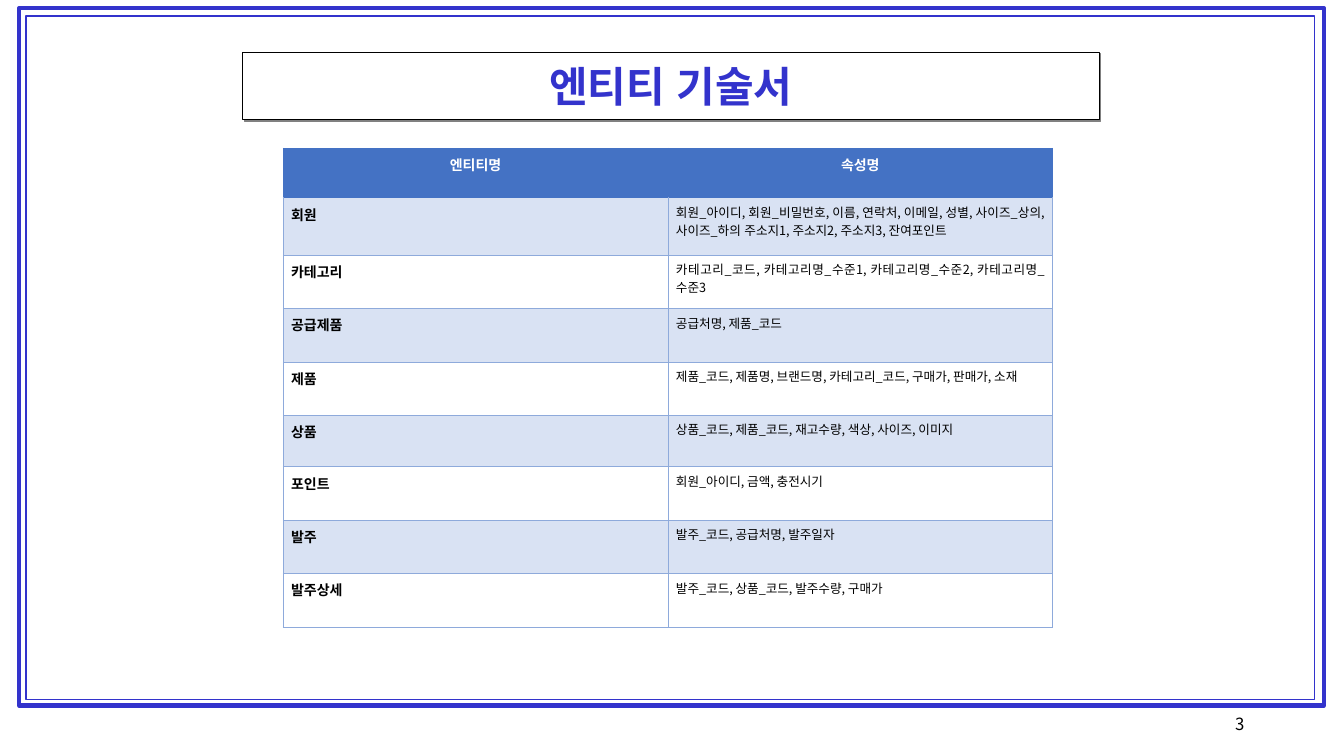
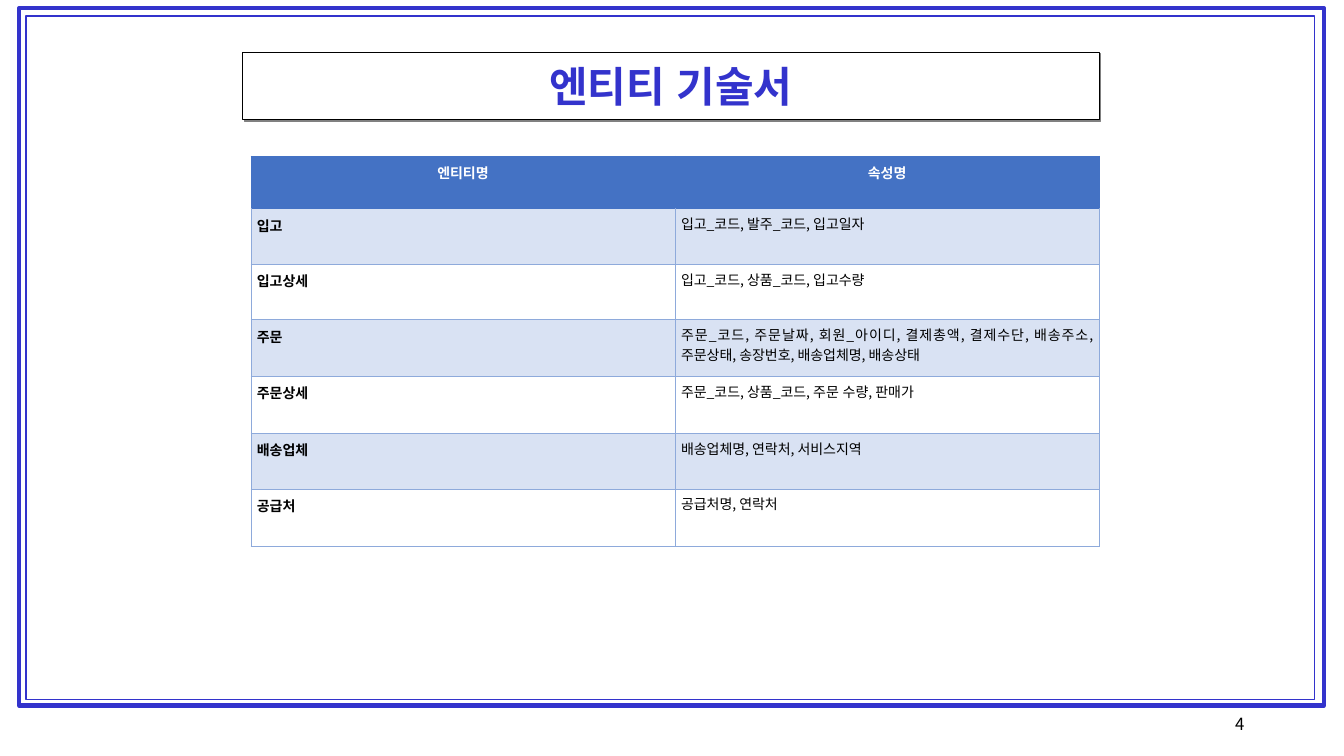
from dataclasses import dataclass

from lxml import etree
from pptx import Presentation
from pptx import util as u
from pptx.dml.color import RGBColor
from pptx.enum import shapes, text
from pptx.enum.lang import MSO_LANGUAGE_ID
from pptx.oxml.ns import qn

PX = 9144  # EMU in one px, 100 px to the inch


@dataclass(frozen=True)
class Theme:
    font: str = "Noto Sans CJK KR"
    accent: str = "3333CC"
    ink: str = "000000"
    paper: str = "FFFFFF"
    shadow: str = "808080"
    header: str = "4472C4"
    band: str = "D9E2F3"
    grid: str = "8EAADB"
    title_size: int = 30
    number_size: int = 12
    label_size: int = 10
    grid_width: float = 0.45


def px(*lengths):
    return [u.Emu(length * PX) for length in lengths]


def rgb(color):
    return RGBColor.from_string(color)


def add_solid(parent, color):
    solid = etree.SubElement(parent, qn("a:solidFill"))
    etree.SubElement(solid, qn("a:srgbClr"), val=color)


class Deck:
    def __init__(self, theme, width, height):
        self.theme = theme
        self.prs = Presentation()
        self.prs.slide_width, self.prs.slide_height = px(width, height)
        self.slide = None

    def add_slide(self, title, number):
        """Start a slide with the double frame, title and page number."""
        self.slide = self.prs.slides.add_slide(self.prs.slide_layouts[6])
        self.rectangle(19, 8, 1295, 692, self.theme.accent, 3)
        self.rectangle(26, 16, 1279, 678, self.theme.accent, 1)
        self.page_number(number)
        self.title(title)

    def rectangle(self, x, y, width, height, line, weight, fill=None):
        box = self.slide.shapes.add_shape(
            shapes.MSO_SHAPE.RECTANGLE, *px(x, y, width, height))
        box.shadow.inherit = False
        box.line.color.rgb = rgb(line)
        box.line.width = u.Pt(weight)
        if fill:
            box.fill.solid()
            box.fill.fore_color.rgb = rgb(fill)
        else:
            box.fill.background()
        return box

    def title(self, wording):
        box = self.rectangle(241, 52, 850, 67, self.theme.ink, 0.75,
                             self.theme.paper)
        effects = box._element.spPr.find(qn("a:effectLst"))
        shadow = etree.SubElement(effects, qn("a:outerShdw"), dist="17780",
                                  dir="2700000", algn="ctr", rotWithShape="0")
        etree.SubElement(shadow, qn("a:srgbClr"), val=self.theme.shadow)
        box.text_frame.vertical_anchor = text.MSO_ANCHOR.MIDDLE
        paragraph = box.text_frame.paragraphs[0]
        paragraph.alignment = text.PP_ALIGN.CENTER
        self.run(paragraph, wording, self.theme.title_size,
                 self.theme.accent, bold=True)

    def page_number(self, number):
        box = self.slide.shapes.add_textbox(*px(1216, 703, 102, 33))
        box.text_frame.word_wrap = False
        self.run(box.text_frame.paragraphs[0], str(number),
                 self.theme.number_size, self.theme.ink)

    def run(self, paragraph, wording, size, color, bold=False):
        run = paragraph.add_run()
        run.text = wording
        font = run.font
        font.name = self.theme.font
        font.size = u.Pt(size)
        font.bold = bold
        font.color.rgb = rgb(color)
        font.language_id = MSO_LANGUAGE_ID.KOREAN
        etree.SubElement(run._r.get_or_add_rPr(), qn("a:ea"),
                         typeface=self.theme.font)

    def entity_table(self, x, y, column, heights, entities, size, margin):
        """Two equal columns: entity names and their attributes, in `size` pt."""
        rows = [("엔티티명", "속성명"), *entities]
        table = self.slide.shapes.add_table(
            len(rows), 2, *px(x, y, 2 * column, sum(heights))).table
        table.horz_banding = False
        for table_column in table.columns:
            table_column.width = px(column)[0]
        for index, (height, row) in enumerate(zip(heights, rows)):
            table.rows[index].height = px(height)[0]
            for side, wording in enumerate(row):
                cell = table.cell(index, side)
                cell.margin_left = cell.margin_right = px(margin)[0]
                self.fill_cell(cell, index, wording, side == 0, size)

    def fill_cell(self, cell, index, wording, is_name, size):
        theme = self.theme
        is_header = index == 0
        is_label = is_header or is_name
        paragraph = cell.text_frame.paragraphs[0]
        paragraph.alignment = (text.PP_ALIGN.CENTER if is_header
                               else text.PP_ALIGN.JUSTIFY)
        if is_label:
            paragraph.line_spacing = 1.07
            paragraph.space_after = u.Pt(8)
        self.run(paragraph, wording, theme.label_size if is_label else size,
                 theme.paper if is_header else theme.ink, is_label)

        self.borders(cell, theme.header if is_header else theme.grid,
                     theme.header if index <= 1 else theme.grid)
        if is_header or index % 2:
            cell.fill.solid()
            cell.fill.fore_color.rgb = rgb(
                theme.header if is_header else theme.band)
        else:
            cell.fill.background()

    def borders(self, cell, color, top):
        properties = cell._tc.get_or_add_tcPr()
        for edge in ("lnL", "lnR", "lnT", "lnB"):
            line = etree.SubElement(properties, qn(f"a:{edge}"),
                                    w=str(u.Pt(self.theme.grid_width)))
            add_solid(line, top if edge == "lnT" else color)


MEMBER_TO_ORDERING = [
    ("회원", "회원_아이디, 회원_비밀번호, 이름, 연락처, 이메일, 성별, "
             "사이즈_상의, 사이즈_하의 주소지1, 주소지2, 주소지3, 잔여포인트"),
    ("카테고리", "카테고리_코드, 카테고리명_수준1, 카테고리명_수준2, 카테고리명_수준3"),
    ("공급제품", "공급처명, 제품_코드"),
    ("제품", "제품_코드, 제품명, 브랜드명, 카테고리_코드, 구매가, 판매가, 소재"),
    ("상품", "상품_코드, 제품_코드, 재고수량, 색상, 사이즈, 이미지"),
    ("포인트", "회원_아이디, 금액, 충전시기"),
    ("발주", "발주_코드, 공급처명, 발주일자"),
    ("발주상세", "발주_코드, 상품_코드, 발주수량, 구매가"),
]

RECEIVING_TO_SUPPLIER = [
    ("입고", "입고_코드, 발주_코드, 입고일자"),
    ("입고상세", "입고_코드, 상품_코드, 입고수량"),
    ("주문", "주문_코드, 주문날짜, 회원_아이디, 결제총액, 결제수단, "
             "배송주소, 주문상태, 송장번호, 배송업체명, 배송상태"),
    ("주문상세", "주문_코드, 상품_코드, 주문 수량, 판매가"),
    ("배송업체", "배송업체명, 연락처, 서비스지역"),
    ("공급처", "공급처명, 연락처"),
]


def main():
    deck = Deck(Theme(), 1334, 750)
    title = "엔티티 기술서"

    deck.add_slide(title, 3)
    deck.entity_table(281, 147, 382, [49, 57, 53, 53, 53, 51, 53, 53, 53],
                      MEMBER_TO_ORDERING, size=9, margin=8)

    deck.add_slide(title, 4)
    deck.entity_table(249, 155, 421, [52, 55, 55, 56, 57, 55, 57],
                      RECEIVING_TO_SUPPLIER, size=10, margin=6)

    deck.prs.save("out.pptx")


if __name__ == "__main__":
    main()
